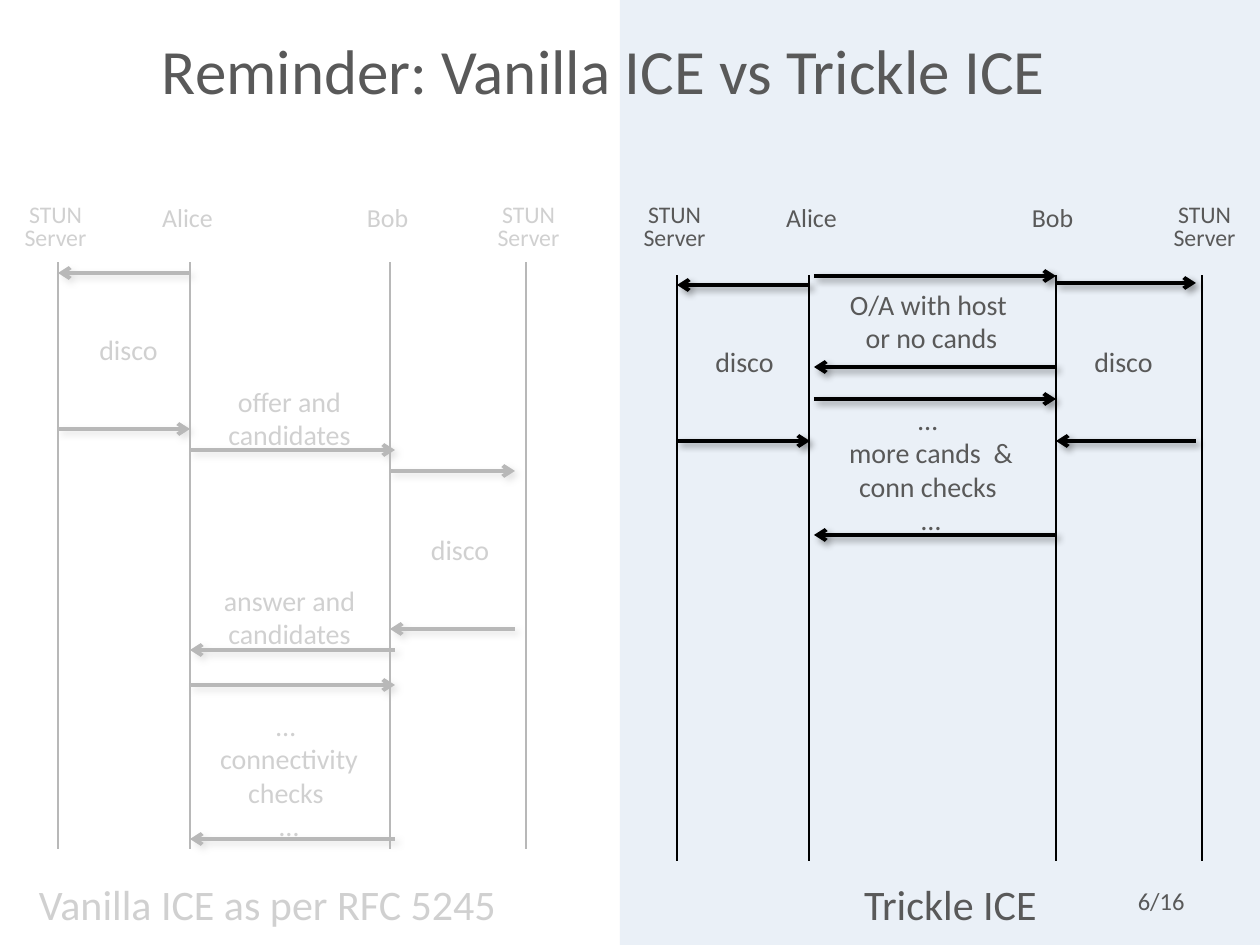
from typing import NamedTuple

import pptx
import pptx.dml.color
import pptx.enum.shapes
import pptx.enum.text
import pptx.oxml
import pptx.oxml.ns
import pptx.util
from lxml import etree

SCALE = 914400 / 126
FONT = "Calibri"
GREY, BLACK, WHITE, BLUE = "595959", "000000", "FFFFFF", "DCE6F2"
ALIGN = pptx.enum.text.PP_ALIGN
qn = pptx.oxml.ns.qn

SHADOW = (
    f'<a:effectLst {pptx.oxml.ns.nsdecls("a")}>'
    '<a:outerShdw blurRad="50800" dist="38100" dir="2700000" algn="tl" rotWithShape="0">'
    '<a:srgbClr val="000000"><a:alpha val="40000"/></a:srgbClr>'
    '</a:outerShdw></a:effectLst>'
)


class Actor(NamedTuple):
    name: str
    mid: int   # centre of the heading
    line: int  # x of the lifeline


class Arrow(NamedTuple):
    start: int
    end: int
    y: int


class Note(NamedTuple):
    text: str
    x: int
    y: int
    w: int
    h: int


class Flow(NamedTuple):
    top: int
    foot: int
    actors: list[Actor]
    arrows: list[Arrow]
    notes: list[Note]


VANILLA = Flow(
    262, 849,
    [Actor("STUN Server", 55, 58), Actor("Alice", 187, 190),
     Actor("Bob", 387, 390), Actor("STUN Server", 528, 526)],
    [Arrow(190, 58, 273), Arrow(58, 190, 429),
     Arrow(190, 395, 450), Arrow(390, 515, 471),
     Arrow(515, 390, 629), Arrow(395, 190, 650),
     Arrow(190, 395, 685), Arrow(395, 190, 839)],
    [Note("disco", 37, 326, 183, 47),
     Note("offer and candidates", 209, 378, 161, 81),
     Note("disco", 375, 526, 170, 47),
     Note("answer and candidates", 209, 577, 161, 81),
     Note("… \vconnectivity checks \v…", 190, 702, 198, 149)],
)

TRICKLE = Flow(
    275, 861,
    [Actor("STUN Server", 674, 677), Actor("Alice", 811, 809),
     Actor("Bob", 1052, 1056), Actor("STUN Server", 1204, 1202)],
    [Arrow(810, 677, 285), Arrow(677, 810, 441),
     Arrow(1056, 1196, 283), Arrow(1196, 1056, 441),
     Arrow(814, 1056, 276), Arrow(1056, 814, 367),
     Arrow(814, 1056, 399), Arrow(1056, 814, 535)],
    [Note("disco", 663, 338, 163, 47),
     Note("disco", 1034, 338, 179, 47),
     Note("O/A with host \vor no cands", 776, 281, 311, 81),
     Note("… \vmore cands  &\vconn checks \v…", 786, 396, 290, 149)],
)


def px(*values: int) -> list[pptx.util.Emu]:
    return [pptx.util.Emu(round(value * SCALE)) for value in values]


def color(code: str) -> pptx.dml.color.RGBColor:
    return pptx.dml.color.RGBColor.from_string(code)


def add_text(slide, text: str, x: int, y: int, w: int, h: int, *, size: float = 16,
             align=ALIGN.CENTER, space: float = 1, middle: bool = False,
             grow: bool = False, inset: int = 0, fill: str = ""):
    box = slide.shapes.add_textbox(*px(x, y, w, h))
    if fill:
        box.fill.solid()
        box.fill.fore_color.rgb = color(fill)
    frame = box.text_frame
    frame.word_wrap = True
    if grow:
        frame.auto_size = pptx.enum.text.MSO_AUTO_SIZE.SHAPE_TO_FIT_TEXT
    if middle:
        frame.vertical_anchor = pptx.enum.text.MSO_ANCHOR.MIDDLE
    if inset:
        frame.margin_left = px(inset)[0]
    para = frame.paragraphs[0]
    para.text = text
    para.alignment = align
    para.line_spacing = space
    for run in para.runs:
        run.font.name = FONT
        run.font.size = pptx.util.Pt(size)
        run.font.color.rgb = color(GREY)
    for gap in para._p.findall(qn("a:br")):
        etree.SubElement(gap, qn("a:rPr"), sz=str(round(size * 100)))


def add_panel(slide, x: int, y: int, w: int, h: int, fill: str, alpha: int):
    panel = slide.shapes.add_shape(
        pptx.enum.shapes.MSO_SHAPE.RECTANGLE, *px(x, y, w, h))
    panel.shadow.inherit = False
    panel.line.fill.background()
    panel.fill.solid()
    panel.fill.fore_color.rgb = color(fill)
    tint = panel._element.spPr.find(f'{qn("a:solidFill")}/{qn("a:srgbClr")}')
    etree.SubElement(tint, qn("a:alpha"), val=str(alpha * 1000))


def add_line(slide, x1: int, y1: int, x2: int, y2: int, *,
             width: float = 1.5, arrow: bool = False):
    line = slide.shapes.add_connector(
        pptx.enum.shapes.MSO_CONNECTOR.STRAIGHT, *px(x1, y1, x2, y2))
    line.line.width = pptx.util.Pt(width)
    line.line.color.rgb = color(BLACK)
    props = line._element.spPr
    if arrow:
        etree.SubElement(props.find(qn("a:ln")), qn("a:tailEnd"), type="arrow")
        props.append(pptx.oxml.parse_xml(SHADOW))
    else:
        etree.SubElement(props, qn("a:effectLst"))


def draw_flow(slide, flow: Flow):
    for actor in flow.actors:
        add_line(slide, actor.line, flow.foot, actor.line, flow.top)
        server = actor.name.startswith("STUN")
        add_text(slide, actor.name, actor.mid - 65, 199, 131, 63 if server else 42,
                 size=13.6 if server else 14.8, space=0.8 if server else 0.9)
    for note in flow.notes:
        add_text(slide, *note, grow=True)
    for start, end, y in flow.arrows:
        add_line(slide, start, y, end, y, width=2.25, arrow=True)


def main():
    deck = pptx.Presentation()
    deck.slide_width, deck.slide_height = px(1260, 945)
    slide = deck.slides.add_slide(deck.slide_layouts[6])

    add_panel(slide, 620, 0, 640, 945, BLUE, 59)
    add_text(slide, "Reminder: Vanilla ICE vs Trickle ICE", 63, -10, 1134, 158,
             size=36, align=ALIGN.LEFT, middle=True, inset=99)
    add_text(slide, "Vanilla ICE as per RFC 5245", 0, 872, 535, 73,
             size=24, fill=WHITE)
    draw_flow(slide, VANILLA)
    draw_flow(slide, TRICKLE)
    add_text(slide, "Trickle ICE", 683, 872, 535, 73, size=24)
    add_panel(slide, 0, 116, 599, 829, WHITE, 72)
    add_text(slide, "6/16", 903, 876, 294, 50, size=14,
             align=ALIGN.RIGHT, middle=True)
    deck.save("out.pptx")


if __name__ == "__main__":
    main()
